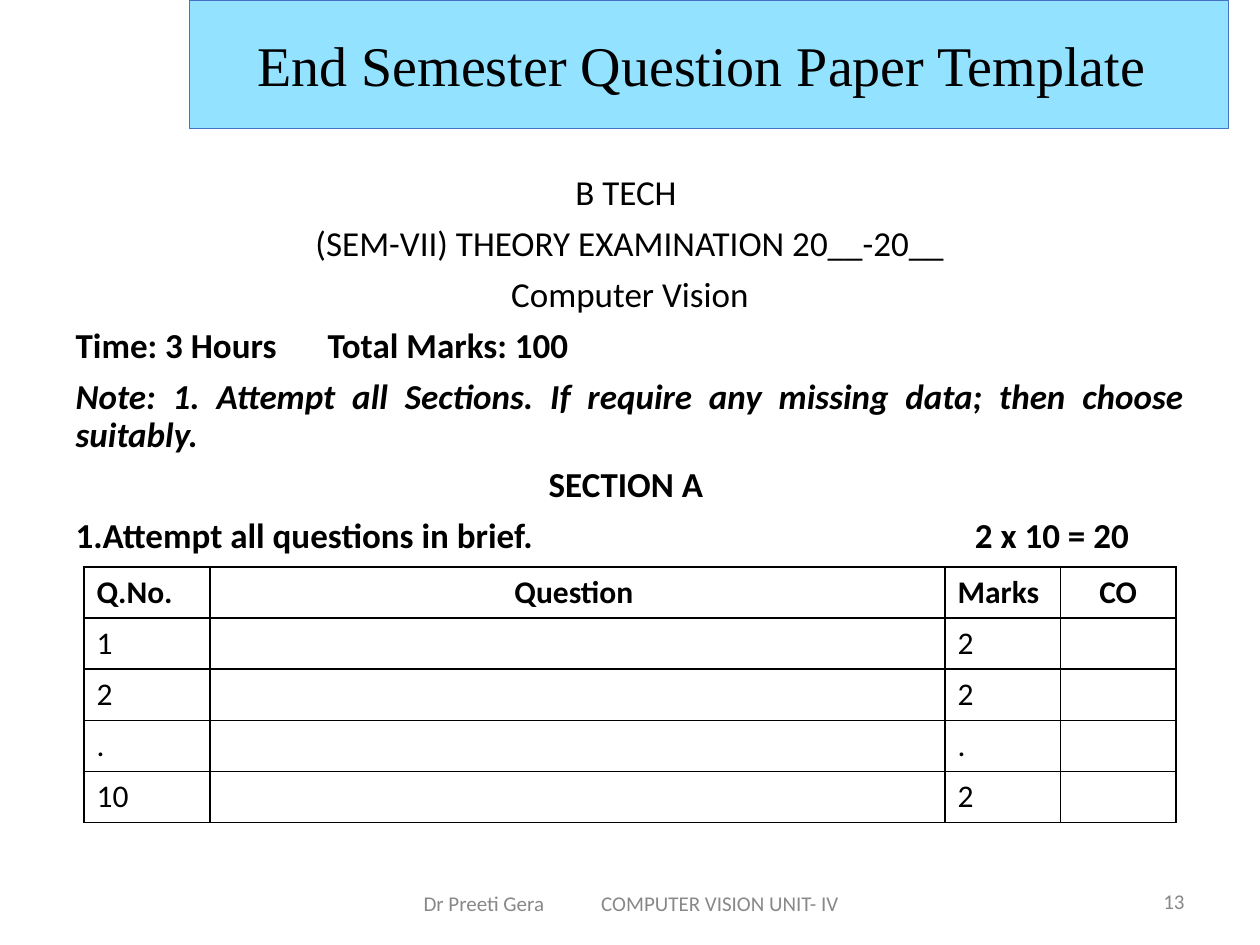
import pptx
import pptx.util
import pptx.dml.color
import pptx.enum.text
import pptx.oxml
import pptx.oxml.ns

Pt = pptx.util.Pt
Align = pptx.enum.text.PP_ALIGN
Middle = pptx.enum.text.MSO_ANCHOR.MIDDLE
color = {"text": "000000", "banner": "93E2FF", "edge": "4472C4",
         "muted": "888888", "cell": "FFFFFF"}
space = pptx.oxml.ns.nsdecls("a")


def rgb(name):
    return pptx.dml.color.RGBColor.from_string(color[name])


def write(text, para, size=20, face="Calibri", ink="text", bold=False, italic=False,
          align=Align.LEFT, bullet=None, tab=None, side="r", line=None, before=0):
    props = para._p.get_or_add_pPr()
    if bullet:
        props.set("marL", "0")
        props.set("indent", "0")
        props.append(pptx.oxml.parse_xml(bullet))
    if tab:
        props.append(pptx.oxml.parse_xml(
            f'<a:tabLst {space}><a:tab pos="{Pt(tab)}" algn="{side}"/></a:tabLst>'))
    para.alignment = align
    para.space_before = Pt(before)
    if line:
        para.line_spacing = line
    run = para.add_run()
    run.text = text
    font = run.font
    font.name, font.size, font.bold, font.italic = face, Pt(size), bold, italic
    font.color.rgb = rgb(ink)


deck = pptx.Presentation()
deck.slide_width, deck.slide_height = Pt(720), Pt(540)
slide = deck.slides.add_slide(deck.slide_layouts[1])

title = slide.shapes.title
title.left, title.top, title.width, title.height = Pt(108), Pt(0), Pt(594), Pt(73.5)
title.fill.solid()
title.fill.fore_color.rgb = rgb("banner")
title.line.color.rgb = rgb("edge")
title.line.width = Pt(0.5)
title.text_frame.vertical_anchor = Middle
write("End Semester Question Paper Template ", title.text_frame.paragraphs[0],
      size=32, face="Times New Roman", align=Align.CENTER)

body = slide.placeholders[1]
body.left, body.top, body.width, body.height = Pt(36), Pt(96.5), Pt(648), Pt(374.4)
frame = body.text_frame
frame.auto_size = pptx.enum.text.MSO_AUTO_SIZE.NONE
plain = f"<a:buNone {space}/>"
number = f'<a:buAutoNum {space} type="arabicPeriod"/>'
lines = [
    ("B TECH ", dict(align=Align.CENTER)),
    ("(SEM-VII) THEORY EXAMINATION 20__-20__", dict(align=Align.CENTER)),
    ("Computer Vision", dict(align=Align.CENTER)),
    ("Time: 3 Hours\tTotal Marks: 100", dict(bold=True, tab=633)),
    ("Note: 1. Attempt all Sections. If require any missing data; then choose suitably.",
     dict(bold=True, italic=True, align=Align.JUSTIFY)),
    ("SECTION A ", dict(bold=True, align=Align.CENTER)),
    ("Attempt all questions in brief.\t2 x 10 = 20",
     dict(bold=True, bullet=number, tab=602)),
]
for i, (text, form) in enumerate(lines):
    para = frame.add_paragraph() if i else frame.paragraphs[0]
    write(text, para, line=0.9, before=7.5 if i else 0, **{"bullet": plain, **form})

rows = [("Q.No.", "Question ", "Marks", "CO"),
        ("1", "", "2", ""), ("2", "", "2", ""), (".", "", ".", ""), ("10", "", "2", "")]
widths = [72, 420, 66, 66]
high = 29.2
table = slide.shapes.add_table(len(rows), len(widths), Pt(48), Pt(324),
                               Pt(sum(widths)), Pt(high * len(rows))).table
table.first_row = table.horz_banding = False
for col, width in zip(table.columns, widths):
    col.width = Pt(width)
for r, row in enumerate(rows):
    table.rows[r].height = Pt(high)
    for c, text in enumerate(row):
        cell = table.cell(r, c)
        cell.fill.solid()
        cell.fill.fore_color.rgb = rgb("cell")
        for i, edge in enumerate("LRTB"):
            cell._tc.get_or_add_tcPr().insert(i, pptx.oxml.parse_xml(
                f'<a:ln{edge} {space} w="{Pt(1)}"><a:solidFill>'
                f'<a:srgbClr val="{color["text"]}"/></a:solidFill></a:ln{edge}>'))
        if text:
            write(text, cell.text_frame.paragraphs[0], size=18, bold=r == 0,
                  align=Align.CENTER if c % 2 else Align.LEFT)

feet = [("Dr Preeti Gera\tCOMPUTER VISION UNIT- IV", (235, 502.5, 305, 27),
         dict(tab=101.5, side="l")),
        ("13", (516, 500.5, 168, 28.8), dict(align=Align.RIGHT))]
for text, place, form in feet:
    box = slide.shapes.add_textbox(*map(Pt, place)).text_frame
    box.word_wrap = True
    box.vertical_anchor = Middle
    write(text, box.paragraphs[0], size=12, ink="muted", **form)

deck.save("out.pptx")
